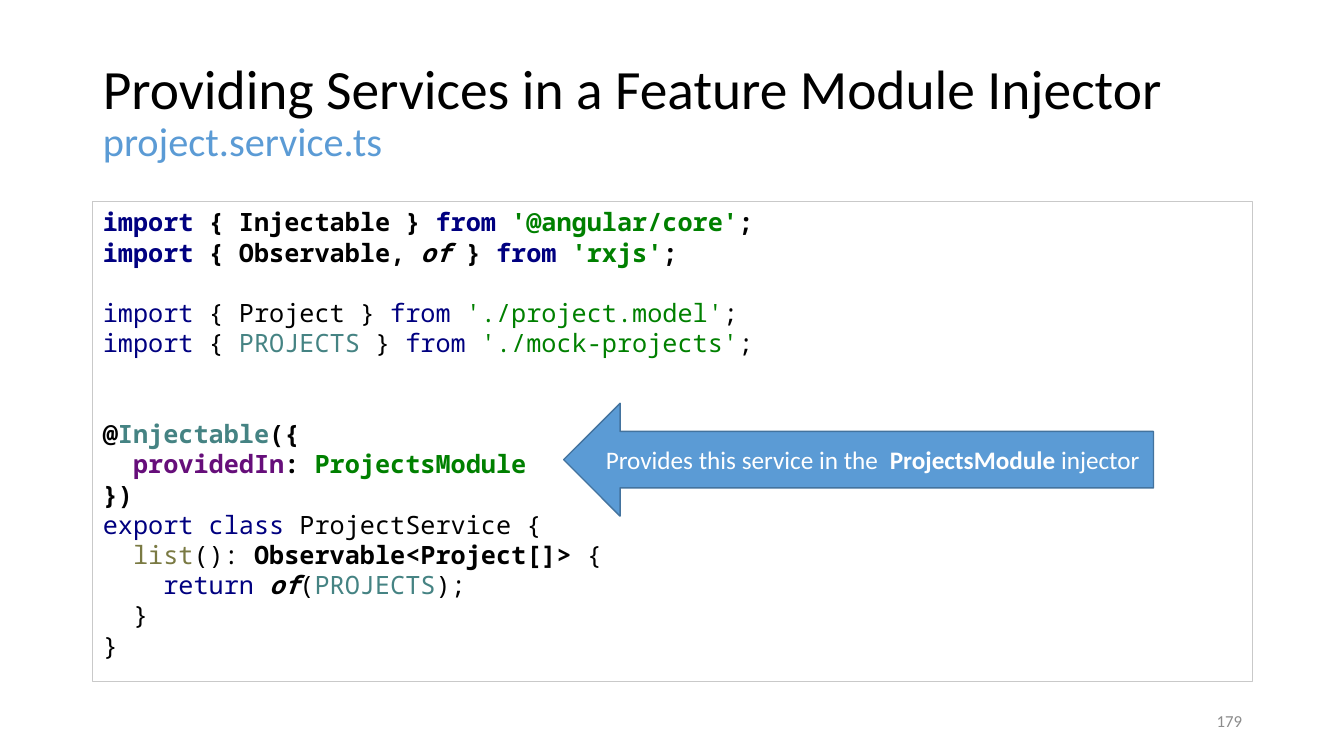
"""Build the slide on providing a service in a feature module injector."""
from pptx import Presentation
from pptx import util as u
from pptx.dml import color
from pptx.enum import shapes, text
from pptx.oxml import xmlchemy as x

HUES = {
    "text": "000000", "key": "000080", "str": "008000", "const": "458383",
    "prop": "660E7A", "func": "7A7A43", "blue": "5B9BD5", "edge": "43739E",
    "frame": "C9C9C9", "page": "8C8C8C", "white": "FFFFFF",
}
CODE = [
    [("import ", "key", "b"), ("{ Injectable } ", "text", "b"), ("from ", "key", "b"),
     ("'@angular/core'", "str", "b"), (";", "text", "b")],
    [("import ", "key", "b"), ("{ Observable, ", "text", "b"), ("of ", "text", "bi"),
     ("} ", "text", "b"), ("from ", "key", "b"), ("'rxjs'", "str", "b"), (";", "text", "b")],
    [],
    [("import ", "key"), ("{ Project } ", "text"), ("from ", "key"),
     ("'./project.model'", "str"), (";", "text")],
    [("import ", "key"), ("{ ", "text"), ("PROJECTS ", "const"), ("} ", "text"),
     ("from ", "key"), ("'./mock-projects'", "str"), (";", "text")],
    [],
    [],
    [("@", "text", "b"), ("Injectable", "const", "b"), ("({", "text", "b")],
    [("  ", "text", "b"), ("providedIn", "prop", "b"), (": ", "text", "b"),
     ("ProjectsModule", "str", "b")],
    [("})", "text", "b")],
    [("export class ", "key"), ("ProjectService {", "text")],
    [("  ", "text"), ("list", "func"), ("(): ", "text"),
     ("Observable<Project[]> ", "text", "b"), ("{", "text")],
    [("    ", "text"), ("return ", "key"), ("of", "text", "bi"), ("(", "text"),
     ("PROJECTS", "const"), (");", "text")],
    [("  }", "text")],
    [("}", "text")],
]


def rgb(name):
    return color.RGBColor.from_string(HUES[name])


def write(shape, lines, sizes, face="Calibri", align="LEFT", anchor="MIDDLE", gap=1.0):
    frame = shape.text_frame
    frame.word_wrap = True
    frame.auto_size = text.MSO_AUTO_SIZE.NONE
    frame.vertical_anchor = text.MSO_ANCHOR[anchor]
    para = frame.paragraphs[0]
    props = para._p.get_or_add_pPr()
    props.set("marL", "0")
    props.set("indent", "0")
    props.append(x.OxmlElement("a:buNone"))
    para.font.size = u.Pt(sizes[0])
    para.font.name = face
    para.alignment = text.PP_ALIGN[align]
    para.line_spacing = gap
    para.space_before = u.Pt(0)
    for row, line in enumerate(lines):
        if row:
            para.add_line_break()
        for words, hue, *style in line:
            run = para.add_run()
            run.text = words
            font = run.font
            font.name = face
            font.size = u.Pt(sizes[min(row, len(sizes) - 1)])
            font.color.rgb = rgb(hue)
            font.bold = "b" in "".join(style)
            font.italic = "i" in "".join(style)


deck = Presentation()
deck.slide_width, deck.slide_height = u.Inches(13.33), u.Inches(7.5)
slide = deck.slides.add_slide(deck.slide_layouts[1])
title, body = slide.placeholders
arrow = slide.shapes.add_shape(shapes.MSO_SHAPE.LEFT_ARROW, 0, 0, 0, 0)
page = slide.shapes.add_textbox(0, 0, 0, 0)

for shape, box in [
    (title, (0.92, 0.4, 11.5, 1.45)),
    (body, (0.92, 2, 11.5, 4.76)),
    (arrow, (5.59, 4, 5.85, 1.12)),
    (page, (9.42, 6.95, 3, 0.4)),
]:
    shape.left, shape.top, shape.width, shape.height = map(u.Inches, box)

body.line.color.rgb = rgb("frame")
body.line.width = u.Pt(0.75)
arrow.shadow.inherit = False
arrow.fill.solid()
arrow.fill.fore_color.rgb = rgb("blue")
arrow.line.color.rgb = rgb("edge")
arrow.line.width = u.Pt(1)

write(title, [[("Providing Services in a Feature Module Injector", "text")],
              [("project.service.ts", "blue")]], [39.6, 28.8], gap=0.9)
write(body, CODE, [18], face="Noto Sans Mono", anchor="TOP")
write(arrow, [[("Provides this service in the  ", "white"), ("ProjectsModule ", "white", "b"),
               ("injector", "white")]], [18], align="CENTER")
write(page, [[("179", "page")]], [12], align="RIGHT")

deck.save("out.pptx")
